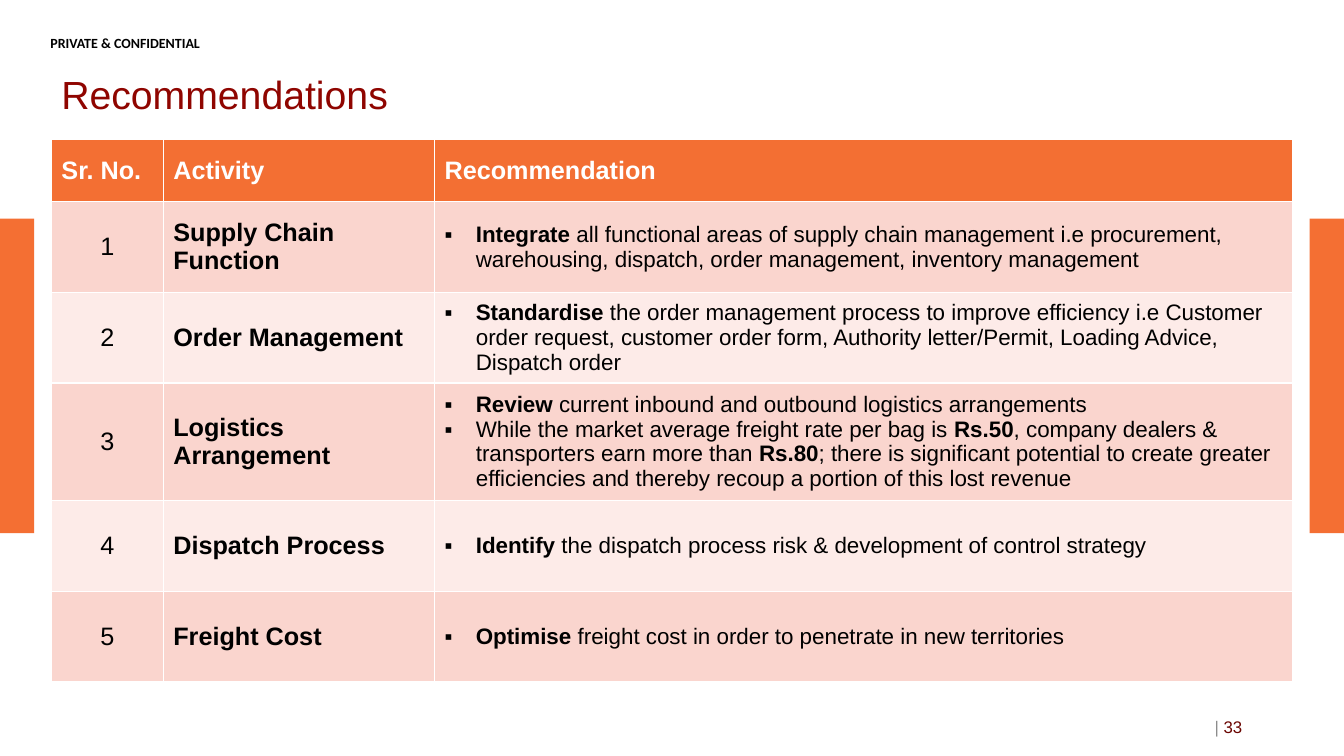
"""Build the Recommendations slide with its activity table."""
from lxml import etree
from pptx import Presentation
from pptx.dml.color import RGBColor
from pptx.enum import shapes, text
from pptx.oxml import ns
from pptx.util import Inches, Pt


def rgb(value):
    """Turn a hex string into a colour."""
    return RGBColor.from_string(value)


def add_run(p, words, size, color, bold=False, font="Arial"):
    """Append one formatted run to a paragraph."""
    r = p.add_run()
    r.text = words
    r.font.size, r.font.bold, r.font.name = Pt(size), bold, font
    r.font.color.rgb = rgb(color)


prs = Presentation()
prs.slide_width, prs.slide_height = Inches(13.33), Inches(7.5)
s = prs.slides.add_slide(prs.slide_layouts[6])

for left in (0, 12.99):
    sp = s.shapes.add_shape(shapes.MSO_SHAPE.RECTANGLE, Inches(left), Inches(2.17), Inches(0.34), Inches(3.12))
    sp.shadow.inherit = False
    sp.fill.solid()
    sp.fill.fore_color.rgb = rgb("F46F33")
    sp.line.fill.background()

left_align, right_align = text.PP_ALIGN.LEFT, text.PP_ALIGN.RIGHT
top, middle = text.MSO_ANCHOR.TOP, text.MSO_ANCHOR.MIDDLE
boxes = [
    ((0.5, 0.34, 2.53, 0.12), top, left_align, [("PRIVATE & CONFIDENTIAL", 10, "000000", True, "Calibri")]),
    ((0.51, 0.58, 10.86, 0.71), middle, left_align, [("Recommendations", 28, "8F0500")]),
    ((9.42, 7.01, 3, 0.4), middle, right_align, [("| ", 12, "8C8C8C"), ("33", 12, "6A0500")]),
]
for place, anchor, align, runs in boxes:
    tf = s.shapes.add_textbox(*[Inches(n) for n in place]).text_frame
    tf.word_wrap = True
    tf.vertical_anchor = anchor
    if anchor == top:
        tf.margin_left = tf.margin_right = tf.margin_top = tf.margin_bottom = 0
    p = tf.paragraphs[0]
    p.alignment = align
    for run in runs:
        add_run(p, *run)

headings = ["Sr. No.", "Activity", "Recommendation"]
recommendations = [
    ("Supply Chain Function", [
        "*Integrate* all functional areas of supply chain management i.e procurement, "
        "warehousing, dispatch, order management, inventory management"]),
    ("Order Management", [
        "*Standardise* the order management process to improve efficiency i.e Customer order request, "
        "customer order form, Authority letter/Permit, Loading Advice, Dispatch order"]),
    ("Logistics Arrangement", [
        "*Review* current inbound and outbound logistics arrangements",
        "While the market average freight rate per bag is *Rs.50*, company dealers & transporters earn more than "
        "*Rs.80*; there is significant potential to create greater efficiencies and thereby recoup "
        "a portion of this lost revenue"]),
    ("Dispatch Process", ["*Identify* the dispatch process risk & development of control strategy"]),
    ("Freight Cost", ["*Optimise *freight cost in order to penetrate in new territories"]),
]

frame = s.shapes.add_table(6, 3, Inches(0.51), Inches(1.38), Inches(12.31), Inches(5.26))
table = frame.table
for column, width in zip(table.columns, (1.11, 2.69, 8.51)):
    column.width = Inches(width)
for row, height in zip(table.rows, (0.62, 0.9, 0.9, 1.04, 0.9, 0.9)):
    row.height = Inches(height)

for i, row in enumerate(table.rows):
    for cell in row.cells:
        cell.vertical_anchor = middle
        cell.fill.solid()
        cell.fill.fore_color.rgb = rgb("F36F33" if i == 0 else "FAD5CE" if i % 2 else "FDEBE8")
        tcPr = cell._tc.get_or_add_tcPr()
        for position, side in enumerate(("lnL", "lnR", "lnT", "lnB")):
            ln = etree.Element(ns.qn("a:" + side), w=str(Pt(1)))
            fill = etree.SubElement(ln, ns.qn("a:solidFill"))
            etree.SubElement(fill, ns.qn("a:srgbClr"), val="FFFFFF")
            tcPr.insert(position, ln)

for column, heading in enumerate(headings):
    add_run(table.cell(0, column).text_frame.paragraphs[0], heading, 18, "FFFFFF", True)

for number, (activity, bullets) in enumerate(recommendations, 1):
    p = table.cell(number, 0).text_frame.paragraphs[0]
    p.alignment = text.PP_ALIGN.CENTER
    add_run(p, str(number), 18, "000000")
    add_run(table.cell(number, 1).text_frame.paragraphs[0], activity, 18, "000000", True)
    tf = table.cell(number, 2).text_frame
    for j, bullet in enumerate(bullets):
        p = tf.add_paragraph() if j else tf.paragraphs[0]
        pPr = p._p.get_or_add_pPr()
        pPr.set("marL", str(Inches(0.31)))
        pPr.set("indent", str(Inches(-0.31)))
        etree.SubElement(pPr, ns.qn("a:buFont"), typeface="Arial")
        etree.SubElement(pPr, ns.qn("a:buChar"), char="▪")
        for k, words in enumerate(bullet.split("*")):
            if words:
                add_run(p, words, 16, "000000", k % 2 == 1)

prs.save("out.pptx")
